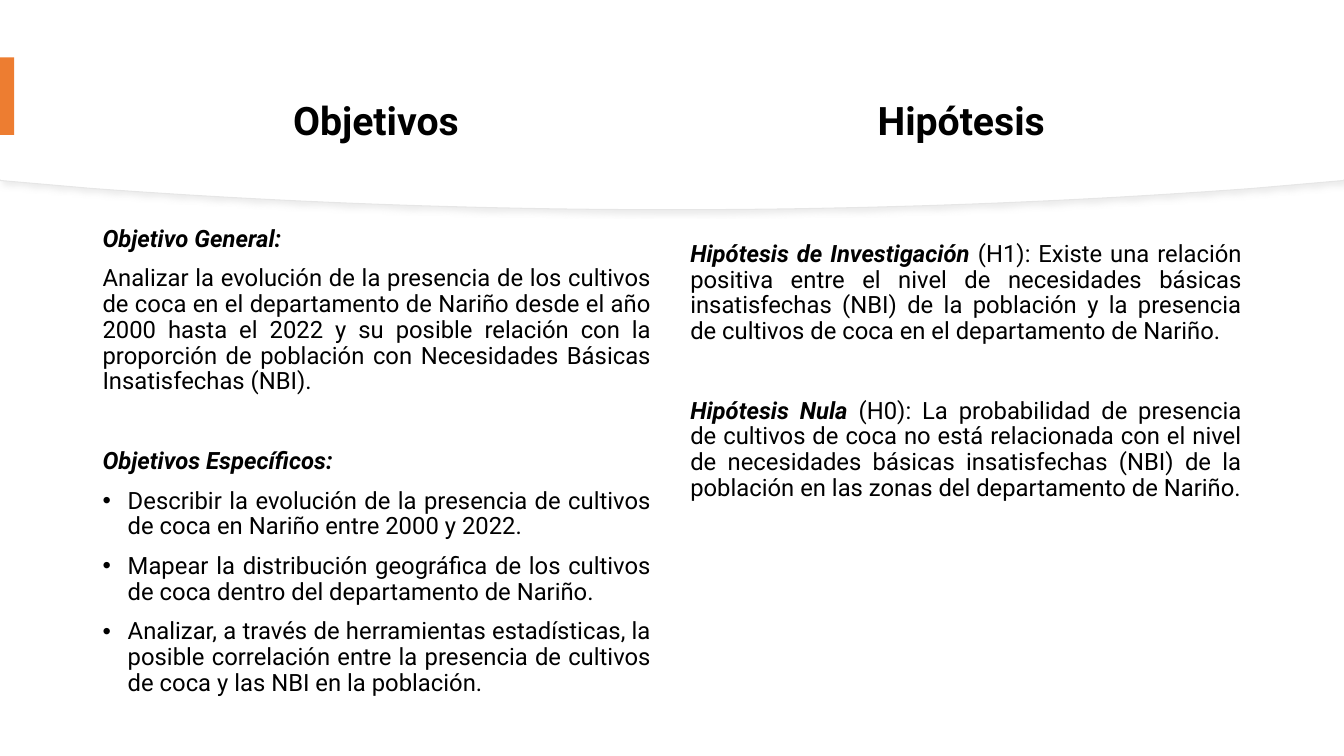
from lxml.etree import SubElement
from pptx import Presentation
from pptx.dml.color import RGBColor
from pptx.enum.shapes import MSO_SHAPE
from pptx.enum.text import PP_ALIGN
from pptx.oxml.ns import qn
from pptx.util import Pt

COLORS = {"white": "FFFFFF", "edge": "E6E6E6", "shadow": "D9D9D9",
          "accent": "ED7D31", "text": "000000"}
FONT = "Roboto"
PAGE_WIDTH, PAGE_HEIGHT = 960, 540
TITLE_SIZE, BODY_SIZE = 28, 17
TITLE_TOP, TITLE_HEIGHT = 69.1, 64.8
BODY_BOTTOM = 487.4
SPACE, SECTION_SPACE = 10, 38.4
INDENT = 18

# Each paragraph: (kind, emphasised lead, plain text)
COLUMNS = [
    {"title": "Objetivos", "title_left": 65.5, "left": 66.2, "width": 406.1, "top": 158.4,
     "body": [
         ("plain", "Objetivo General:", ""),
         ("plain", "", "Analizar la evolución de la presencia de los cultivos de coca en el "
          "departamento de Nariño desde el año 2000 hasta el 2022 y su posible relación con la "
          "proporción de población con Necesidades Básicas Insatisfechas (NBI)."),
         ("section", "Objetivos Específicos:", ""),
         ("bullet", "", "Describir la evolución de la presencia de cultivos de coca en Nariño "
          "entre 2000 y 2022."),
         ("bullet", "", "Mapear la distribución geográfica de los cultivos de coca dentro del "
          "departamento de Nariño."),
         ("bullet", "", "Analizar, a través de herramientas estadísticas, la posible correlación "
          "entre la presencia de cultivos de coca y las NBI en la población."),
     ]},
    {"title": "Hipótesis ", "title_left": 486, "left": 486, "width": 408.2, "top": 169.2,
     "body": [
         ("plain", "Hipótesis de Investigación ", "(H1): Existe una relación positiva entre el "
          "nivel de necesidades básicas insatisfechas (NBI) de la población y la presencia de "
          "cultivos de coca en el departamento de Nariño."),
         ("section", "Hipótesis Nula ", "(H0): La probabilidad de presencia de cultivos de coca "
          "no está relacionada con el nivel de necesidades básicas insatisfechas (NBI) de la "
          "población en las zonas del departamento de Nariño."),
     ]},
]

# Left half of the header's lower edge; the right half mirrors it
EDGE_START = (0, 128.9)
EDGE_CURVE = [(65.5, 134.6), (193, 144), (333.4, 149.8), (480, 149.8)]
CURVE_STEPS = 24


def color(name):
    return RGBColor.from_string(COLORS[name])


def curve_point(t):
    """Point of the cubic Bézier EDGE_CURVE at t."""
    weights = ((1 - t) ** 3, 3 * t * (1 - t) ** 2, 3 * t ** 2 * (1 - t), t ** 3)
    return tuple(sum(w * p[axis] for w, p in zip(weights, EDGE_CURVE)) for axis in (0, 1))


def add_header(page, rise):
    """White header whose curved edge is lifted by rise points."""
    left_half = [EDGE_START] + [curve_point(i / CURVE_STEPS) for i in range(CURVE_STEPS + 1)]
    right_half = [(PAGE_WIDTH - x, y) for x, y in left_half[-2::-1]]
    edge = [(x, y - rise) for x, y in left_half + right_half]
    outline = [(PAGE_WIDTH, 0)] + edge[::-1]
    builder = page.shapes.build_freeform(0, 0)
    builder.add_line_segments([(Pt(x), Pt(y)) for x, y in outline], close=True)
    header = builder.convert_to_shape()
    header.fill.solid()
    header.fill.fore_color.rgb = color("white")
    header.line.fill.background()
    header.shadow.inherit = False
    return header


def add_soft_shadow(shape):
    effects = shape._element.spPr.find(qn("a:effectLst"))
    shadow = SubElement(effects, qn("a:outerShdw"), blurRad=str(Pt(4)), dist=str(Pt(3)),
                        dir="2700000", algn="tl", rotWithShape="0")
    tint = SubElement(shadow, qn("a:srgbClr"), val=COLORS["shadow"])
    SubElement(tint, qn("a:alpha"), val="50000")


def add_text_box(page, left, top, width, height):
    frame = page.shapes.add_textbox(Pt(left), Pt(top), Pt(width), Pt(height)).text_frame
    frame.word_wrap = True
    return frame


def style(para, size, align, space=SPACE):
    para.alignment = align
    para.line_spacing = 0.9
    para.space_before = Pt(space)
    para.font.name = FONT
    para.font.size = Pt(size)
    para.font.color.rgb = color("text")


def add_bullet(para):
    properties = para._p.get_or_add_pPr()
    properties.set("marL", str(Pt(INDENT)))
    properties.set("indent", str(-Pt(INDENT)))
    bullet_font = properties.makeelement(qn("a:buFont"), {"typeface": "Arial"})
    bullet = properties.makeelement(qn("a:buChar"), {"char": "•"})
    default = properties.find(qn("a:defRPr"))
    default.addprevious(bullet_font)
    default.addprevious(bullet)


def add_column(page, column):
    title = add_text_box(page, column["title_left"], TITLE_TOP, column["width"], TITLE_HEIGHT)
    para = title.paragraphs[0]
    para.text = column["title"]
    style(para, TITLE_SIZE, PP_ALIGN.CENTER)
    para.font.bold = True

    top = column["top"]
    body = add_text_box(page, column["left"], top, column["width"], BODY_BOTTOM - top)
    for index, (kind, lead, text) in enumerate(column["body"]):
        para = body.add_paragraph() if index else body.paragraphs[0]
        style(para, BODY_SIZE, PP_ALIGN.JUSTIFY, SECTION_SPACE if kind == "section" else SPACE)
        if kind == "bullet":
            add_bullet(para)
        if lead:
            span = para.add_run()
            span.text = lead
            span.font.bold = span.font.italic = True
        if text:
            para.add_run().text = text


def main():
    deck = Presentation()
    deck.slide_width, deck.slide_height = Pt(PAGE_WIDTH), Pt(PAGE_HEIGHT)
    page = deck.slides.add_slide(deck.slide_layouts[6])

    header = add_header(page, 0)
    header.line.color.rgb = color("edge")
    header.line.width = Pt(0.75)
    add_soft_shadow(header)
    add_header(page, 0.7)

    tab = page.shapes.add_shape(MSO_SHAPE.RECTANGLE, 0, Pt(41), Pt(10.1), Pt(55.4))
    tab.fill.solid()
    tab.fill.fore_color.rgb = color("accent")
    tab.line.fill.background()
    tab.shadow.inherit = False

    for column in COLUMNS:
        add_column(page, column)
    deck.save("out.pptx")


if __name__ == "__main__":
    main()
